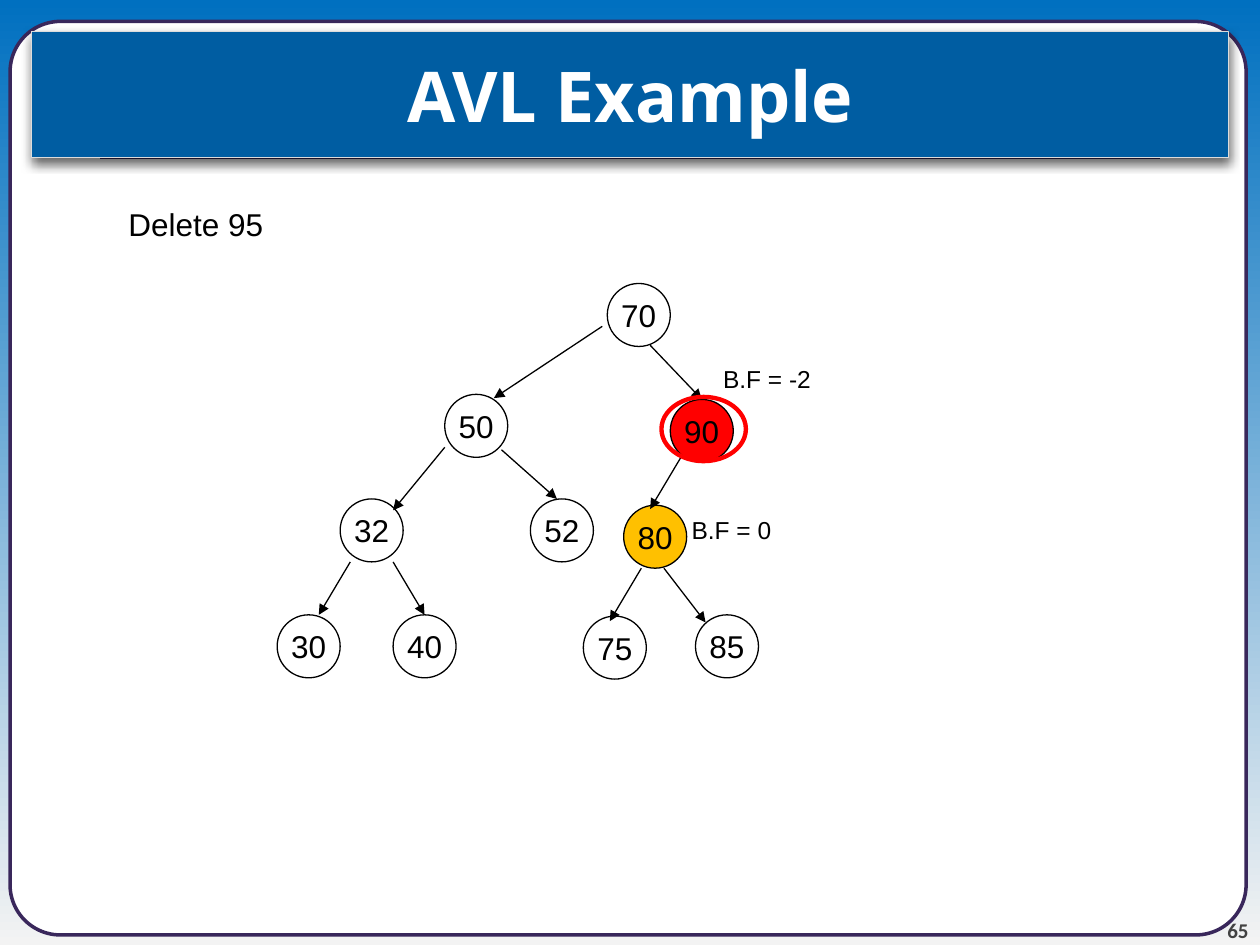
from lxml.etree import SubElement
from pptx import Presentation
from pptx.dml.color import RGBColor
from pptx.enum.shapes import MSO_CONNECTOR, MSO_SHAPE
from pptx.enum.text import MSO_ANCHOR, PP_ALIGN
from pptx.oxml import parse_xml
from pptx.oxml.ns import nsdecls, qn
from pptx.util import Inches, Pt

BLACK, WHITE, RED, AMBER = "000000", "FFFFFF", "FF0000", "FFC000"
PURPLE, TITLE_BLUE, TITLE_EDGE, GREY = "39275B", "005DA2", "DCDCDC", "424242"
SKY, MIST = "0070C0", "F3F3F3"
NODE_SIZE = 0.5


def color(hex_text):
    return RGBColor.from_string(hex_text)


class TreeSlide:
    """Holds the text style and the page being drawn."""

    font = "Arial"
    node_size = 18

    def __init__(self, page):
        self.page = page

    def background(self, top, bottom):
        fill = self.page.background.fill
        fill.gradient()
        fill.gradient_angle = 270
        for stop, position, shade in zip(fill.gradient_stops, (0, 1), (top, bottom)):
            stop.position = position
            stop.color.rgb = color(shade)

    def paint(self, shape, fill, line, width):
        if fill:
            shape.fill.solid()
            shape.fill.fore_color.rgb = color(fill)
        else:
            shape.fill.background()
        shape.line.color.rgb = color(line)
        shape.line.width = Pt(width)

    def set_text(self, shape, text, size, ink=BLACK, font=None, bold=False,
                 align=PP_ALIGN.LEFT, anchor=MSO_ANCHOR.TOP, wrap=False):
        frame = shape.text_frame
        frame.text = text
        frame.word_wrap = wrap
        frame.vertical_anchor = anchor
        para = frame.paragraphs[0]
        para.alignment = align
        for span in para.runs:
            span.font.name = font or self.font
            span.font.size = Pt(size)
            span.font.bold = bold
            span.font.color.rgb = color(ink)

    def shape(self, kind, left, top, width, height, fill, line, line_width):
        shape = self.page.shapes.add_shape(
            kind, Inches(left), Inches(top), Inches(width), Inches(height))
        shape.shadow.inherit = False
        self.paint(shape, fill, line, line_width)
        return shape

    def label(self, text, left, top, width, height, size, **style):
        box = self.page.shapes.add_textbox(
            Inches(left), Inches(top), Inches(width), Inches(height))
        self.set_text(box, text, size, **style)
        return box

    def line(self, start, end, ink=BLACK, width=0.75, arrow=True):
        line = self.page.shapes.add_connector(
            MSO_CONNECTOR.STRAIGHT, *(Inches(value) for value in (*start, *end)))
        line.line.color.rgb = color(ink)
        line.line.width = Pt(width)
        if arrow:
            outline = line.element.spPr.find(qn("a:ln"))
            SubElement(outline, qn("a:tailEnd"), type="triangle")
        SubElement(line.element.spPr, qn("a:effectLst"))

    def node(self, key, left, top, fill=None):
        circle = self.shape(MSO_SHAPE.OVAL, left, top, NODE_SIZE, NODE_SIZE,
                            fill, BLACK, 0.75)
        self.set_text(circle, key, self.node_size,
                      align=PP_ALIGN.CENTER, anchor=MSO_ANCHOR.MIDDLE)

    def title(self, text):
        """Format the title placeholder and bring it in front of the frame."""
        title = self.page.shapes.title
        title.left, title.top = Inches(0.25), Inches(0.25)
        title.width, title.height = Inches(9.5), Inches(1)
        self.paint(title, TITLE_BLUE, TITLE_EDGE, 0.75)
        title.element.spPr.append(parse_xml(
            f'<a:effectLst {nsdecls("a")}>'
            '<a:outerShdw blurRad="76200" dist="38100" dir="5400000" algn="ctr">'
            '<a:srgbClr val="000000"><a:alpha val="60000"/></a:srgbClr>'
            '</a:outerShdw></a:effectLst>'))
        self.set_text(title, text, 40, WHITE, "Open Sans", True,
                      PP_ALIGN.CENTER, MSO_ANCHOR.MIDDLE, True)
        title.element.getparent().append(title.element)


NODES = [
    ("50", 3.53, 3.13, None), ("70", 4.82, 2.25, None), ("32", 2.7, 3.96, None),
    ("30", 2.2, 4.88, None), ("40", 3.12, 4.88, None), ("90", 5.32, 3.17, RED),
    ("52", 4.21, 3.96, None), ("80", 4.95, 4.01, AMBER),
    ("85", 5.52, 4.88, None), ("75", 4.63, 4.89, WHITE),
]
EDGES = [
    ((4.78, 2.59), (3.92, 3.16)), ((5.16, 2.74), (5.57, 3.17)),
    ((3.53, 3.55), (3.12, 4.05)), ((3.98, 3.57), (4.42, 3.96)),
    ((2.78, 4.46), (2.53, 4.88)), ((3.12, 4.46), (3.37, 4.88)),
    ((5.41, 3.62), (5.16, 4.04)), ((5.09, 4.51), (4.84, 4.93)),
    ((5.27, 4.51), (5.6, 4.94)),
]
LABELS = [
    ("Delete 95", 0.92, 1.58, 1.28, 0.4, 18),
    ("B.F = -2", 5.64, 2.84, 0.9, 0.34, 14),
    ("B.F = 0", 5.39, 4.04, 0.84, 0.34, 14),
]


def main():
    deck = Presentation()
    deck.slide_width, deck.slide_height = Inches(10), Inches(7.5)
    slide = TreeSlide(deck.slides.add_slide(deck.slide_layouts[5]))

    slide.background(SKY, MIST)
    panel = slide.shape(MSO_SHAPE.ROUNDED_RECTANGLE, 0.08, 0.17, 9.81, 7.25,
                        WHITE, PURPLE, 2)
    panel.adjustments[0] = 0.055
    number = slide.label("65", 9.08, 7.08, 0.83, 0.4, 12, ink=GREY, font="Calibri",
                         bold=True, align=PP_ALIGN.RIGHT,
                         anchor=MSO_ANCHOR.BOTTOM, wrap=True)
    frame = number.text_frame
    frame.margin_left = frame.margin_right = frame.margin_top = frame.margin_bottom = 0
    slide.line((0.79, 1.25), (9.21, 1.25), PURPLE, 2.25, arrow=False)
    slide.title("AVL Example")

    for node in NODES:
        slide.node(*node)
    for start, end in EDGES:
        slide.line(start, end)
    slide.shape(MSO_SHAPE.OVAL, 5.25, 3.15, 0.67, 0.51, None, RED, 2.5)
    for label in LABELS:
        slide.label(*label)

    deck.save("out.pptx")


if __name__ == "__main__":
    main()
